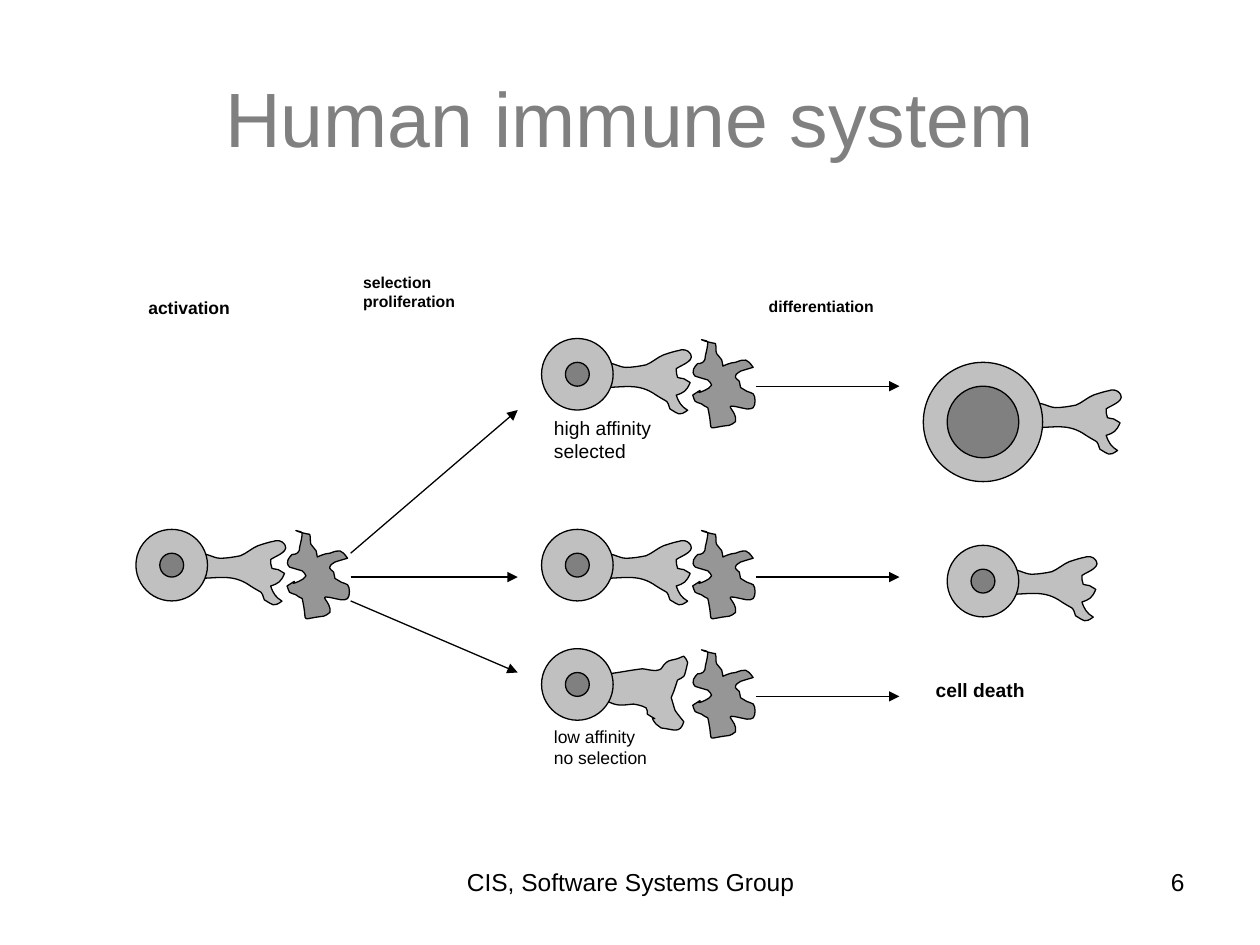
from dataclasses import dataclass
from typing import Optional

from lxml.etree import SubElement
from pptx import Presentation
from pptx.dml.color import RGBColor
from pptx.enum.shapes import MSO_CONNECTOR as Connector, MSO_SHAPE as Shape
from pptx.enum.text import MSO_ANCHOR as Anchor, PP_ALIGN as Align
from pptx.oxml.ns import qn
from pptx.util import Cm, Pt

BLACK = RGBColor(0x00, 0x00, 0x00)
WHITE = RGBColor(0xFF, 0xFF, 0xFF)
DARK_GREY = RGBColor(0x80, 0x80, 0x80)
ANTIGEN_GREY = RGBColor(0x96, 0x96, 0x96)
LIGHT_GREY = RGBColor(0xC0, 0xC0, 0xC0)
FONT = "Arial"
LINE_WIDTH = Pt(0.75)
GRID = Cm(0.481)
GRID_LEFT, GRID_TOP = Cm(2.74), Cm(5.38)
OUTLINE_UNIT = Cm(2.54) / 100

Point = tuple[float, float]

RECEPTOR = """48,39 49,33 45,25 50,21 54,17 61,23 67,23 72,23 78,22 83,21
88,19 92,15 97,13 100,12 103,11 107,10 108,10 111,9 111,9 113,9 115,9 116,10
125,17 111,21 107,24 107,26 107,29 108,31 109,32 111,31 113,32 115,33 116,34 118,35
115,42 113,43 107,45 109,51 111,54 116,57 109,62 109,60 102,56 99,48 102,52 91,45
77,35 66,39 48,39"""

WEAK_RECEPTOR = """53,20 62,19 71,17 80,16 83,16 91,19 95,16 97,14 97,12 99,11
101,9 105,9 108,8 110,7 113,6 113,6 114,8 116,9 116,11 116,11 114,21 113,22
112,23 110,24 108,25 107,28 106,31 105,34 104,36 103,39 103,39 104,42 105,46 106,49
108,52 113,58 113,58 110,68 105,64 95,63 94,62 92,61 91,60 82,49 98,61 84,52
84,50 84,48 83,47 80,45 73,44 73,44 63,45 60,46 51,41 50,39 48,38 48,36
46,19 50,35 54,25 55,23 53,22 53,20"""

ANTIGEN = """127,1 128,2 131,1 132,3 132,6 131,10 130,14 130,16 130,17 128,19
127,20 125,20 124,20 122,22 118,26 122,30 125,31 132,33 132,33 133,34 135,36 135,37
134,39 132,40 130,41 117,47 134,36 120,45 121,47 121,49 122,50 123,51 125,51 127,52
128,53 130,54 132,55 132,56 133,58 133,60 136,75 130,71 149,69 150,68 153,68 154,66
156,57 141,51 158,55 160,55 161,56 163,56 165,56 167,56 168,55 170,53 170,46 168,44
167,43 165,43 163,42 161,41 160,40 158,39 158,37 157,36 157,34 156,33 153,31 154,30
154,28 157,27 158,26 161,25 168,23 168,23 163,16 162,16 154,19 150,19 144,22 144,22
144,20 143,18 143,17 142,15 140,14 139,12 138,10 139,7 138,4 137,4 128,2 127,1"""


@dataclass(frozen=True)
class Cell:
    column: float
    row: float
    antigen: bool = True
    receptor: str = RECEPTOR
    diameter: int = 3
    nucleus: int = 1
    receptor_shift: tuple[int, int] = (0, 0)


@dataclass(frozen=True)
class Label:
    text: str
    column: float
    row: float
    columns: int
    rows: int
    size: int
    bold: bool = True


@dataclass(frozen=True)
class Arrow:
    start: Point
    end: Point


CELLS = [
    Cell(0, 11),
    Cell(17, 3),
    Cell(17, 11),
    Cell(17, 16, receptor=WEAK_RECEPTOR),
    Cell(34, 11.67, antigen=False),
    Cell(33, 4, antigen=False, diameter=5, nucleus=3, receptor_shift=(Cm(0.97), Cm(0.33))),
]

LABELS = [
    Label("low affinity\nno selection", 17, 19, 8, 5, 10, bold=False),
    Label("high affinity\nselected", 17, 6, 8, 5, 11, bold=False),
    Label("activation", 0, 1, 7, 2, 10),
    Label("selection\nproliferation", 9, 0, 8, 5, 9),
    Label("differentiation", 26, 1, 9, 3, 9),
    Label("cell death", 33, 17, 7, 4, 11),
]

ARROWS = [
    *(Arrow((9, start), (16, end)) for start, end in ((12, 6), (13, 13), (14, 17))),
    *(Arrow((26, row), (32, row)) for row in (5, 13, 18)),
]


def grid_point(column: float, row: float) -> tuple[int, int]:
    return round(GRID_LEFT + column * GRID), round(GRID_TOP + row * GRID)


def add_text(slide, text: str, left: int, top: int, width: int, height: int, *, size: int,
             color: RGBColor = BLACK, bold: bool = False, align: Align = Align.LEFT,
             anchor: Anchor = Anchor.TOP, fill: Optional[RGBColor] = None) -> None:
    shape = slide.shapes.add_textbox(left, top, width, height)
    if fill is not None:
        shape.fill.solid()
        shape.fill.fore_color.rgb = fill
    frame = shape.text_frame
    frame.word_wrap = True
    frame.vertical_anchor = anchor
    frame.text = text
    for paragraph in frame.paragraphs:
        paragraph.alignment = align
        font = paragraph.font
        font.name, font.size, font.bold = FONT, Pt(size), bold
        font.color.rgb = color


def paint(shape, color: RGBColor) -> None:
    shape.shadow.inherit = False
    shape.fill.solid()
    shape.fill.fore_color.rgb = color
    shape.line.color.rgb = BLACK
    shape.line.width = LINE_WIDTH


def bend_segments(shape) -> None:
    outline = next(shape._element.iter(qn("a:path")))
    segments = outline.findall(qn("a:lnTo"))
    for first, second, third in zip(segments[::3], segments[1::3], segments[2::3]):
        curve = SubElement(outline, qn("a:cubicBezTo"))
        first.addprevious(curve)
        for segment in (first, second, third):
            curve.append(segment[0])
            outline.remove(segment)


def add_outline(slide, outline: str, left: int, top: int, color: RGBColor) -> None:
    knots = [tuple(map(int, pair.split(","))) for pair in outline.split()]
    points = [(left + x * OUTLINE_UNIT, top + y * OUTLINE_UNIT) for x, y in knots]
    builder = slide.shapes.build_freeform(*points[0])
    builder.add_line_segments(points[1:], close=True)
    shape = builder.convert_to_shape()
    bend_segments(shape)
    paint(shape, color)


def add_circle(slide, column: float, row: float, diameter: int, color: RGBColor) -> None:
    size = diameter * GRID
    paint(slide.shapes.add_shape(Shape.OVAL, *grid_point(column, row), size, size), color)


def add_cell(slide, cell: Cell) -> None:
    left, top = grid_point(cell.column, cell.row)
    shift_x, shift_y = cell.receptor_shift
    add_outline(slide, cell.receptor, left + shift_x, top + shift_y, LIGHT_GREY)
    inset = (cell.diameter - cell.nucleus) / 2
    add_circle(slide, cell.column, cell.row, cell.diameter, LIGHT_GREY)
    add_circle(slide, cell.column + inset, cell.row + inset, cell.nucleus, DARK_GREY)
    if cell.antigen:
        add_outline(slide, ANTIGEN, left, top, ANTIGEN_GREY)


def add_arrow(slide, arrow: Arrow) -> None:
    connector = slide.shapes.add_connector(
        Connector.STRAIGHT, *grid_point(*arrow.start), *grid_point(*arrow.end))
    connector.line.color.rgb = BLACK
    connector.line.width = LINE_WIDTH
    SubElement(connector.line._get_or_add_ln(), qn("a:tailEnd"), type="triangle")
    SubElement(connector._element.spPr, qn("a:effectLst"))


def main() -> None:
    presentation = Presentation()
    presentation.slide_width, presentation.slide_height = Cm(25.4), Cm(19.05)
    slide = presentation.slides.add_slide(presentation.slide_layouts[6])
    add_text(slide, "Human immune system", Cm(1.27), Cm(0.76), Cm(22.86), Cm(3.18),
             size=44, color=DARK_GREY, align=Align.CENTER, anchor=Anchor.MIDDLE)
    for label in LABELS:
        add_text(slide, label.text, *grid_point(label.column, label.row),
                 label.columns * GRID, label.rows * GRID,
                 size=label.size, bold=label.bold, fill=WHITE)
    for cell in CELLS:
        add_cell(slide, cell)
    for arrow in ARROWS:
        add_arrow(slide, arrow)
    add_text(slide, "CIS, Software Systems Group", Cm(8.69), Cm(17.35), Cm(8.05), Cm(1.32),
             size=14, align=Align.CENTER)
    add_text(slide, "6", Cm(18.21), Cm(17.35), Cm(5.92), Cm(1.32), size=14, align=Align.RIGHT)
    presentation.save("out.pptx")


if __name__ == "__main__":
    main()
